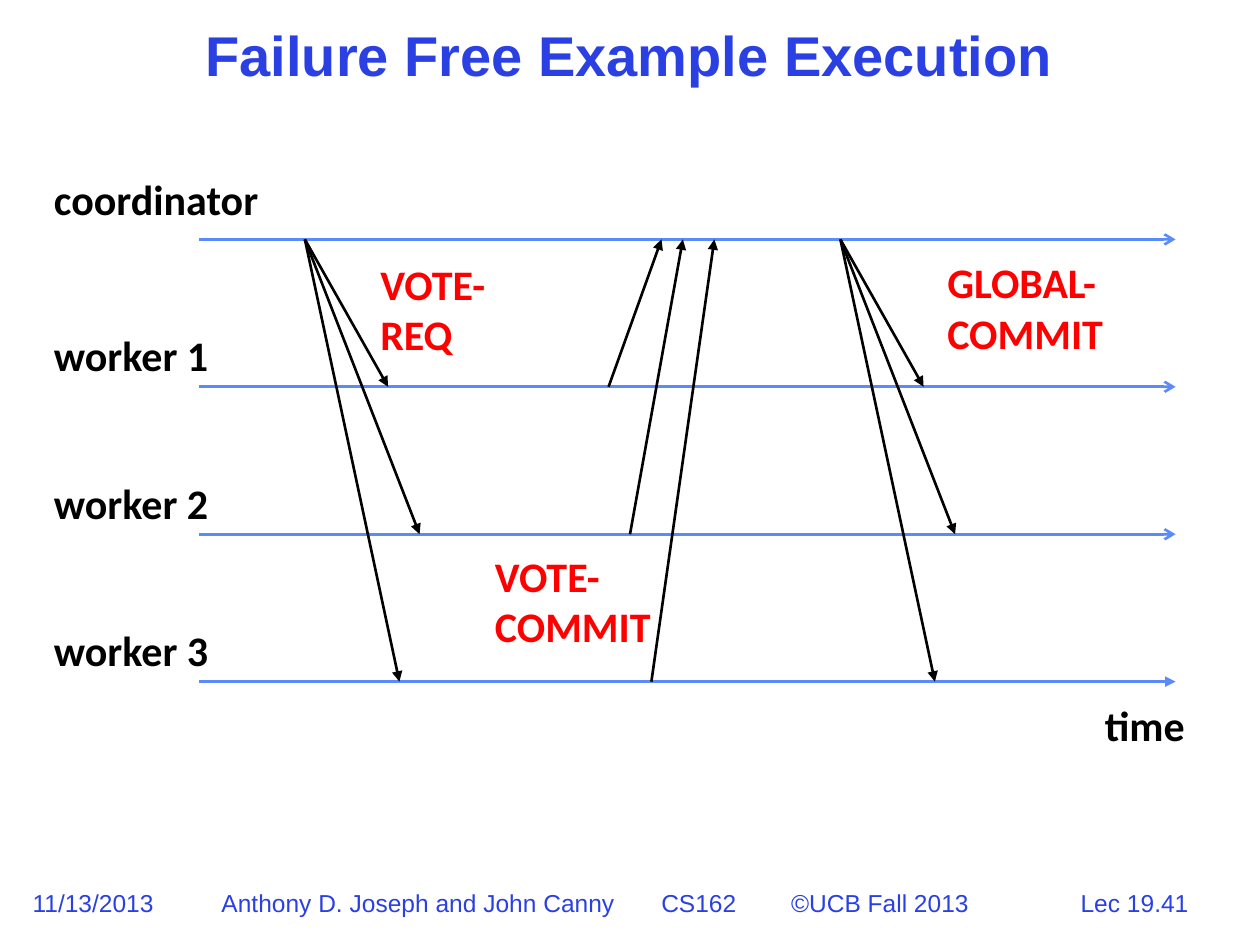
"""Build a timeline slide of a failure-free two-phase commit."""
from dataclasses import dataclass

from lxml.etree import SubElement
from pptx import Presentation
from pptx.dml.color import RGBColor
from pptx.enum.shapes import MSO_CONNECTOR
from pptx.enum.text import MSO_ANCHOR, MSO_AUTO_SIZE, PP_ALIGN
from pptx.oxml.ns import qn
from pptx.util import Inches, Pt


@dataclass(frozen=True)
class Theme:
    """Colours, fonts and type sizes of the deck."""

    blue: RGBColor = RGBColor(0x2A, 0x40, 0xE2)
    axis: RGBColor = RGBColor(0x5B, 0x8A, 0xFB)
    black: RGBColor = RGBColor(0, 0, 0)
    red: RGBColor = RGBColor(0xFF, 0, 0)
    heading_font: str = "Arial"
    label_font: str = "Calibri"
    title_size: int = 32
    label_size: int = 24
    footer_size: int = 14
    line_width: float = 1.5


class TimelineSlide:
    """Draw titles, labels, arrows and footers on one slide."""

    def __init__(self, deck, theme):
        """Add a title-only page to the deck."""
        self.theme = theme
        self.page = deck.slides.add_slide(deck.slide_layouts[5])

    def add_span(self, para, text, font, size, color, bold):
        """Append one formatted run to a paragraph."""
        span = para.add_run()
        span.text = text
        span.font.name = font
        span.font.size = Pt(size)
        span.font.color.rgb = color
        span.font.bold = bold

    def title(self, text, left, top, width, height):
        """Place and fill the title placeholder."""
        box = self.page.shapes.title
        box.left, box.top = Inches(left), Inches(top)
        box.width, box.height = Inches(width), Inches(height)
        box.text_frame.auto_size = MSO_AUTO_SIZE.NONE
        box.text_frame.vertical_anchor = MSO_ANCHOR.MIDDLE
        para = box.text_frame.paragraphs[0]
        para.alignment = PP_ALIGN.CENTER
        para.line_spacing = 0.9
        self.add_span(para, text, self.theme.heading_font, self.theme.title_size, self.theme.blue, True)

    def text_box(self, left, top, width, height):
        """Add a wrapping text box and return its first paragraph."""
        box = self.page.shapes.add_textbox(Inches(left), Inches(top), Inches(width), Inches(height))
        box.text_frame.word_wrap = True
        return box.text_frame.paragraphs[0]

    def label(self, text, left, top, width, color, height=0.5):
        """Add a bold diagram label."""
        para = self.text_box(left, top, width, height)
        self.add_span(para, text, self.theme.label_font, self.theme.label_size, color, True)

    def footer(self, parts, left, width, align=PP_ALIGN.LEFT, stops=()):
        """Add a footer whose parts are set apart by tab stops."""
        para = self.text_box(left, 7, width, 0.33)
        para.alignment = align
        if stops:
            tabs = SubElement(para._p.get_or_add_pPr(), qn("a:tabLst"))
            for stop in stops:
                SubElement(tabs, qn("a:tab"), pos=str(Inches(stop)), algn="l")
        self.add_span(para, "\t".join(parts), self.theme.heading_font, self.theme.footer_size, self.theme.blue, False)

    def arrow(self, start, end, color, head="triangle"):
        """Draw a straight arrow between two points."""
        line = self.page.shapes.add_connector(
            MSO_CONNECTOR.STRAIGHT, *(Inches(value) for value in (*start, *end)))
        line.line.color.rgb = color
        line.line.width = Pt(self.theme.line_width)
        SubElement(line.line._get_or_add_ln(), qn("a:tailEnd"), type=head)
        SubElement(line._element.spPr, qn("a:effectLst"))


def main():
    """Build and save the deck."""
    deck = Presentation()
    deck.slide_width, deck.slide_height = Inches(10), Inches(7.5)
    theme = Theme()
    slide = TimelineSlide(deck, theme)

    slide.footer(["Lec 19.41"], 8.14, 1.73, PP_ALIGN.CENTER)
    slide.footer(["11/13/2013"], 0.16, 1.18)
    slide.footer(["Anthony D. Joseph and John Canny", "CS162", "©UCB Fall 2013"],
                 1.66, 6.14, stops=(3.49, 4.52))
    slide.title("Failure Free Example Execution", 1.08, 0.17, 7.83, 0.58)

    rows = [1.9 + 1.17 * index for index in range(4)]
    coordinator, *workers = rows
    for row, head in zip(rows, ("arrow", "arrow", "arrow", "triangle")):
        slide.arrow((1.58, row), (9.33, row), theme.axis, head)

    slide.label("coordinator", 0.33, 1.33, 2, theme.black)
    for number, row in enumerate(workers, 1):
        slide.label(f"worker {number}", 0.33, row - 0.5, 1.58, theme.black)
    slide.label("time", 8.67, 5.5, 0.92, theme.black)

    for sent in (2.42, 6.67):
        for delay, row in zip((0.66, 0.91, 0.75), workers):
            slide.arrow((sent, coordinator), (sent + delay, row), theme.black)
    for sent, received, row in zip((4.83, 5, 5.17), (5.25, 5.42, 5.67), workers):
        slide.arrow((sent, row), (received, coordinator), theme.black)

    for text, left, top, width in (
        ("VOTE-REQ", 2.92, 2, 1.33),
        ("VOTE-COMMIT", 3.83, 4.32, 1.58),
        ("GLOBAL-COMMIT", 7.42, 1.99, 1.67),
    ):
        slide.label(text, left, top, width, theme.red, 0.9)

    deck.save("out.pptx")


if __name__ == "__main__":
    main()
